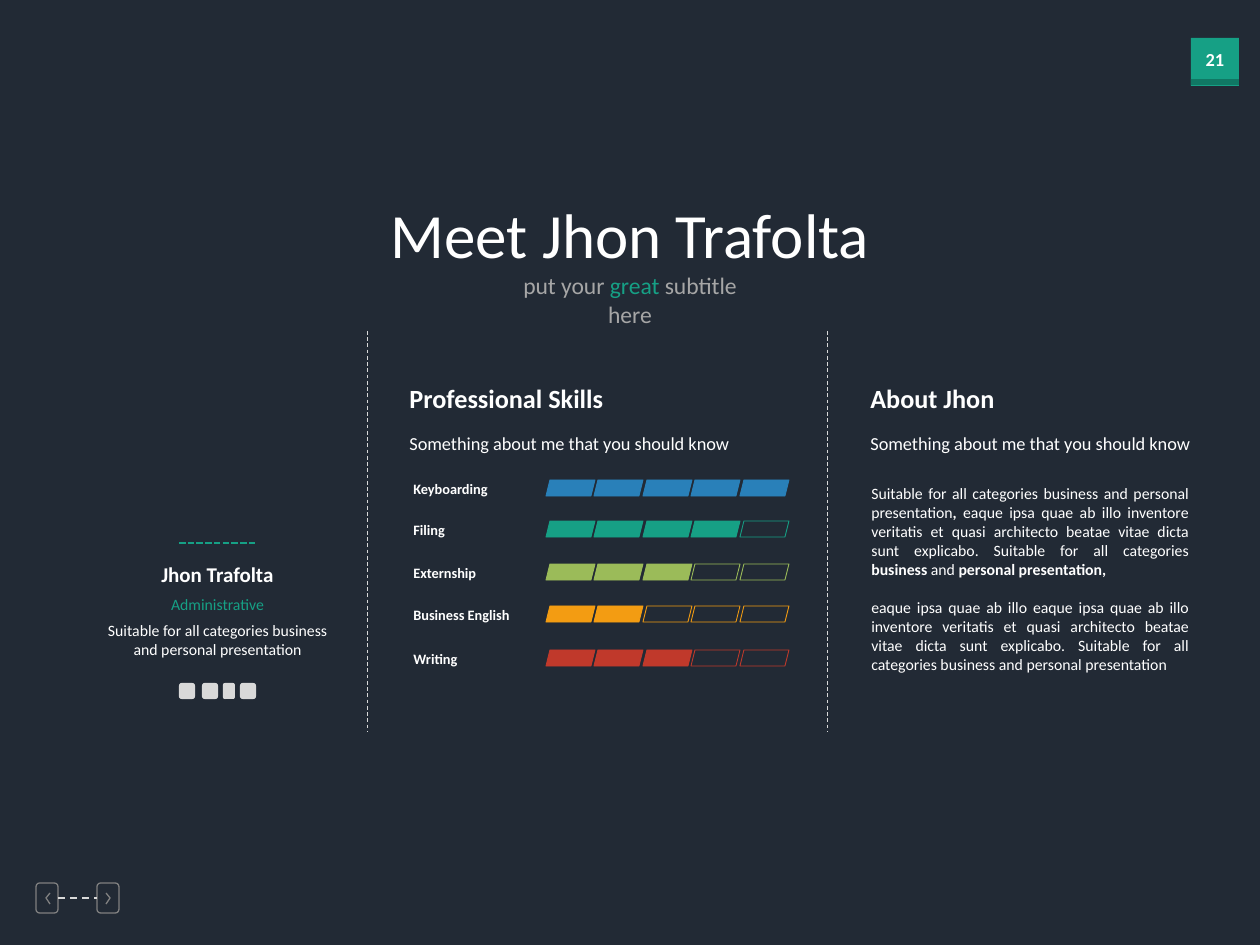
from dataclasses import dataclass
from typing import NamedTuple

from lxml import etree
from pptx import Presentation
from pptx.dml.color import RGBColor
from pptx.enum.dml import MSO_LINE
from pptx.enum.shapes import MSO_CONNECTOR, MSO_SHAPE
from pptx.enum.text import MSO_AUTO_SIZE, PP_ALIGN
from pptx.oxml.ns import qn
from pptx.util import Emu, Pt

PX = 914400 / 126
FONT = "Calibri"
COLORS = {
    "background": "222A35", "white": "FFFFFF", "muted": "A6A6A6",
    "light": "D9D9D9", "gray": "808080", "green": "16A085",
    "dark_green": "107864", "blue": "2980B9", "lime": "9BBB59",
    "orange": "F39C12", "red": "C0392B",
}
RECTANGLE = MSO_SHAPE.RECTANGLE
ROUNDED = MSO_SHAPE.ROUNDED_RECTANGLE
PARALLELOGRAM = MSO_SHAPE.PARALLELOGRAM
STRAIGHT = MSO_CONNECTOR.STRAIGHT
LEFT, CENTER, JUSTIFY = PP_ALIGN.LEFT, PP_ALIGN.CENTER, PP_ALIGN.JUSTIFY
DASH, SHORT_DASH = MSO_LINE.DASH, MSO_LINE.SQUARE_DOT

SEGMENTS = 5
FIRST_SEGMENT, LAST_SEGMENT = 546, 740


class Box(NamedTuple):
    left: int
    top: int
    width: int
    height: int


class Run(NamedTuple):
    text: str
    bold: bool = False
    color: str | None = None


@dataclass
class Skill:
    name: str
    level: int
    color: str
    top: int


@dataclass
class Section:
    title: str
    left: int
    title_width: int


SKILLS = [
    Skill("Keyboarding", 5, "blue", 474),
    Skill("Filing", 4, "green", 515),
    Skill("Externship", 3, "lime", 558),
    Skill("Business English", 2, "orange", 600),
    Skill("Writing", 3, "red", 644),
]
SECTIONS = [Section("Professional Skills", 397, 219), Section("About Jhon", 858, 150)]
SOCIAL_ICONS = [Box(179, 683, 16, 16), Box(202, 683, 16, 16),
                Box(223, 683, 12, 16), Box(240, 683, 16, 16)]
ABOUT = [
    [
        Run("Suitable for all categories business and personal presentation"),
        Run(",", bold=True),
        Run(" eaque ipsa quae ab illo inventore veritatis et quasi architecto beatae "
            "vitae dicta sunt explicabo. Suitable for all categories "),
        Run("business", bold=True),
        Run(" and "),
        Run("personal presentation,", bold=True),
    ],
    [Run("eaque ipsa quae ab illo eaque ipsa quae ab illo inventore veritatis et quasi "
         "architecto beatae vitae dicta sunt explicabo. Suitable for all categories "
         "business and personal presentation")],
]


def px(value: int) -> Emu:
    return Emu(round(value * PX))


def rgb(name: str) -> RGBColor:
    return RGBColor.from_string(COLORS[name])


def add_text(slide, text: str | list[list[Run]], box: Box, *, size: float,
             color: str = "white", bold: bool = False, align=LEFT,
             wrap: bool = False, gap: float = 0) -> None:
    """Add a text box; gap is the space in points between paragraphs."""
    shape = slide.shapes.add_textbox(*map(px, box))
    frame = shape.text_frame
    frame.word_wrap = wrap
    frame.auto_size = MSO_AUTO_SIZE.SHAPE_TO_FIT_TEXT
    paragraphs = [[Run(text, bold)]] if isinstance(text, str) else text
    for index, runs in enumerate(paragraphs):
        paragraph = frame.add_paragraph() if index else frame.paragraphs[0]
        paragraph.alignment = align
        if index:
            paragraph.space_before = Pt(gap)
        for item in runs:
            run = paragraph.add_run()
            run.text = item.text
            run.font.name = FONT
            run.font.size = Pt(size)
            run.font.bold = item.bold
            run.font.color.rgb = rgb(item.color or color)


def style_shape(shape, fill: str | None, line: str | None, width: float) -> None:
    shape.shadow.inherit = False
    if fill:
        shape.fill.solid()
        shape.fill.fore_color.rgb = rgb(fill)
    else:
        shape.fill.background()
    if line:
        shape.line.color.rgb = rgb(line)
        shape.line.width = Pt(width)
    else:
        shape.line.fill.background()


def add_shape(slide, kind, box: Box, *, fill: str | None = None,
              line: str | None = None, width: float = 0.5):
    shape = slide.shapes.add_shape(kind, *map(px, box))
    style_shape(shape, fill, line, width)
    return shape


def add_line(slide, start: tuple[int, int], end: tuple[int, int], *,
             color: str = "light", width: float = 0.5, dash=DASH):
    connector = slide.shapes.add_connector(STRAIGHT, *map(px, (*start, *end)))
    connector.line.color.rgb = rgb(color)
    connector.line.width = Pt(width)
    connector.line.dash_style = dash
    etree.SubElement(connector.element.spPr, qn("a:effectLst"))
    return connector


def add_arrow_button(slide, left: int, tip: int, tail: int):
    """Add an outlined button with a chevron pointing from tail to tip."""
    button = add_shape(slide, ROUNDED, Box(left, 883, 22, 30), line="gray", width=0.75)
    builder = slide.shapes.build_freeform(tail, 893, scale=PX)
    builder.add_line_segments([(tip, 898), (tail, 904)], close=False)
    style_shape(builder.convert_to_shape(), None, "gray", 0.75)
    return button


def add_navigation(slide) -> None:
    previous = add_arrow_button(slide, 36, tip=46, tail=50)
    following = add_arrow_button(slide, 97, tip=110, tail=106)
    link = add_line(slide, (58, 898), (97, 898), width=1)
    link.begin_connect(previous, 3)
    link.end_connect(following, 1)


def add_skill(slide, skill: Skill) -> None:
    add_text(slide, skill.name, Box(401, skill.top, 145, 30), size=8.2, bold=True, wrap=True)
    for index in range(SEGMENTS):
        left = FIRST_SEGMENT + (LAST_SEGMENT - FIRST_SEGMENT) * index // (SEGMENTS - 1)
        add_shape(slide, PARALLELOGRAM, Box(left, skill.top + 6, 49, 16),
                  fill=skill.color if index < skill.level else None, line=skill.color)


def add_profile(slide) -> None:
    add_line(slide, (179, 543), (256, 543), color="green", width=1.25, dash=SHORT_DASH)
    add_text(slide, "Jhon Trafolta", Box(147, 555, 141, 38), size=12, bold=True, align=CENTER)
    add_text(slide, "Administrative", Box(157, 589, 121, 32), size=9, color="green",
             align=CENTER)
    add_text(slide, "Suitable for all categories business and personal presentation",
             Box(87, 615, 261, 50), size=9, align=CENTER, wrap=True)
    for icon in SOCIAL_ICONS:
        add_shape(slide, ROUNDED, icon, fill="light")


def main() -> None:
    presentation = Presentation()
    presentation.slide_width, presentation.slide_height = px(1260), px(945)
    slide = presentation.slides.add_slide(presentation.slide_layouts[6])
    slide.background.fill.solid()
    slide.background.fill.fore_color.rgb = rgb("background")

    add_navigation(slide)
    add_shape(slide, RECTANGLE, Box(1191, 38, 48, 48), fill="green")
    add_shape(slide, RECTANGLE, Box(1191, 79, 48, 6), fill="dark_green")
    add_text(slide, "21", Box(1191, 42, 48, 35), size=10.5, bold=True, align=CENTER)

    add_text(slide, "Meet Jhon Trafolta", Box(375, 189, 510, 89), size=36, align=CENTER)
    subtitle = [[Run("put your "), Run("great", color="green"), Run(" subtitle here")]]
    add_text(slide, subtitle, Box(490, 265, 280, 70), size=13.5, color="muted",
             align=CENTER, wrap=True)

    add_profile(slide)
    for left in (367, 827):
        add_line(slide, (left, 331), (left, 732))
    for section in SECTIONS:
        add_text(slide, section.title, Box(section.left, 376, section.title_width, 44),
                 size=15, bold=True)
        add_text(slide, "Something about me that you should know",
                 Box(section.left, 426, 357, 35), size=10.5, wrap=True)
    for skill in SKILLS:
        add_skill(slide, skill)
    add_text(slide, ABOUT, Box(859, 478, 342, 204), size=9, align=JUSTIFY, wrap=True, gap=11)

    presentation.save("out.pptx")


if __name__ == "__main__":
    main()
